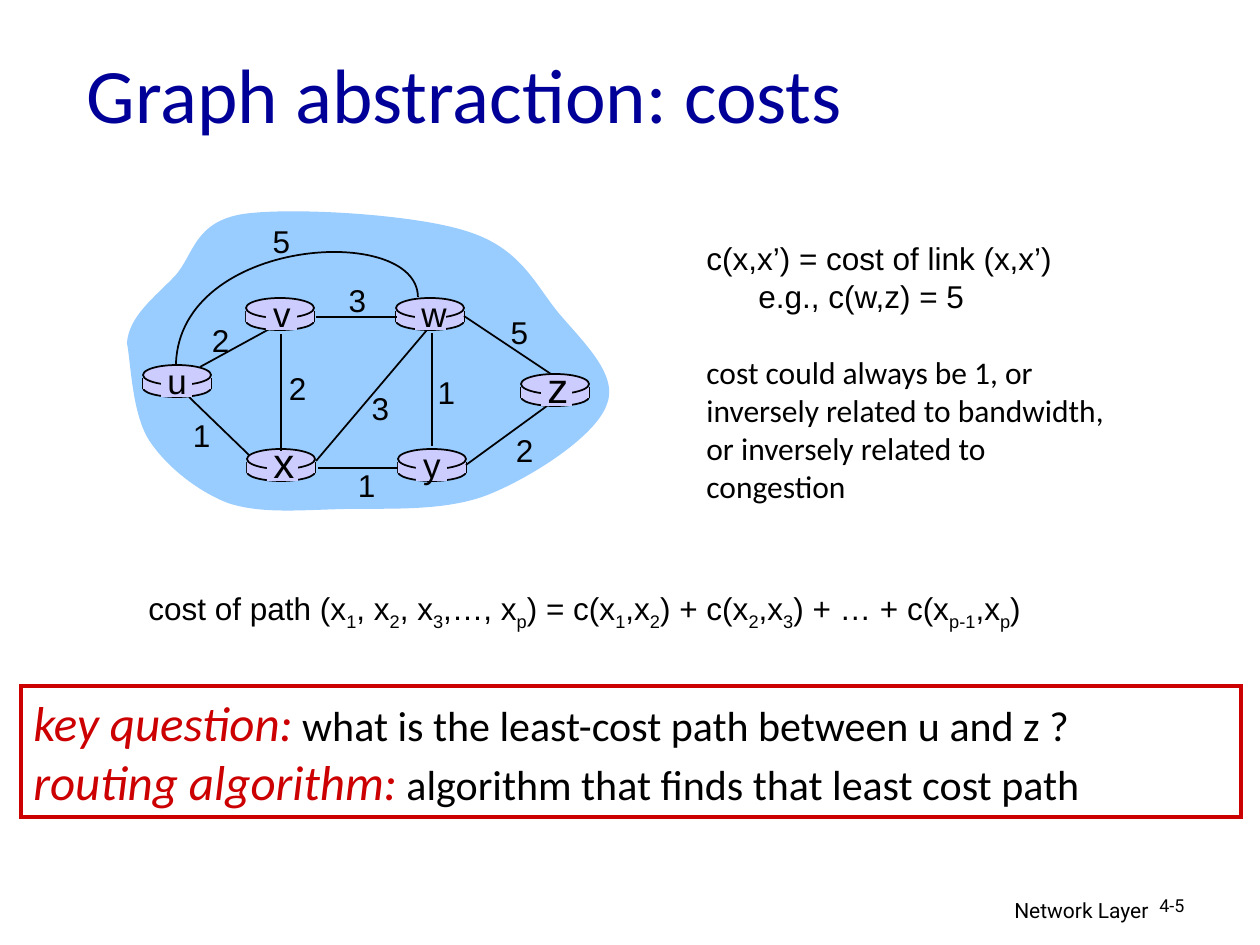
"""Build a slide on link and path costs in a network graph."""
import pptx
import pptx.util
import pptx.dml.color
import pptx.enum.shapes
import pptx.enum.text
import pptx.oxml.ns
import lxml.etree

SCALE = 914400 / 126
HUES = {"ink": "000000", "navy": "000099", "sky": "99CCFF", "node": "CCCCFF", "red": "CC0000"}
SHAPE = pptx.enum.shapes.MSO_SHAPE
ALIGN = pptx.enum.text.PP_ALIGN
ANCHOR = pptx.enum.text.MSO_ANCHOR
qn = pptx.oxml.ns.qn


def emu(*nums):
    return [round(n * SCALE) for n in nums]


class Page:
    """Hold the style and the current slide."""

    def __init__(self, deck):
        self.slide = deck.slides.add_slide(deck.slide_layouts[5])
        self.shapes = self.slide.shapes

    def hue(self, name):
        return pptx.dml.color.RGBColor.from_string(HUES[name])

    def paint(self, shape, fill, line, width):
        shape.shadow.inherit = False
        if fill:
            shape.fill.solid()
            shape.fill.fore_color.rgb = self.hue(fill)
        else:
            shape.fill.background()
        if line:
            shape.line.color.rgb = self.hue(line)
            shape.line.width = pptx.util.Pt(width)
        else:
            shape.line.fill.background()
        return shape

    def font(self, font, size, face, hue="ink", slant=None):
        font.size = pptx.util.Pt(size)
        font.name = face
        font.color.rgb = self.hue(hue)
        font.italic = slant

    def title(self, box, words):
        head = self.shapes.title
        head.left, head.top, head.width, head.height = emu(*box)
        head.text_frame.text = words
        head.text_frame.vertical_anchor = ANCHOR.MIDDLE
        par = head.text_frame.paragraphs[0]
        par.alignment = ALIGN.LEFT
        self.font(par.font, 44, "Calibri", "navy")

    def shape(self, kind, box, fill=None, line=None, width=1):
        return self.paint(self.shapes.add_shape(kind, *emu(*box)), fill, line, width)

    def curve(self, pts, fill=None, line=None):
        pen = self.shapes.build_freeform(*pts[0], scale=SCALE)
        pen.add_line_segments(pts[1:], close=bool(fill))
        form = self.paint(pen.convert_to_shape(), fill, line, 1)
        legs = list(form._element.iter(qn("a:lnTo")))
        for i in range(0, len(legs), 3):
            bend = lxml.etree.Element(qn("a:cubicBezTo"))
            legs[i].addprevious(bend)
            for leg in legs[i:i + 3]:
                bend.append(leg[0])
                leg.getparent().remove(leg)

    def line(self, *ends):
        link = self.shapes.add_connector(pptx.enum.shapes.MSO_CONNECTOR.STRAIGHT, *emu(*ends))
        link.line.color.rgb = self.hue("ink")
        link.line.width = pptx.util.Pt(1)
        lxml.etree.SubElement(link._element.spPr, qn("a:effectLst"))

    def text(self, box, lines, size, face="Arial", align=ALIGN.LEFT, wrap=False):
        frame = self.shapes.add_textbox(*emu(*box)).text_frame
        frame.word_wrap = wrap
        for i, words in enumerate(lines):
            par = frame.add_paragraph() if i else frame.paragraphs[0]
            par.alignment = align
            par.text = words
            self.font(par.font, size, face)
        return frame

    def router(self, left, top):
        self.shape(SHAPE.OVAL, (left, top + 14, 68, 18), "node", "ink")
        for x in (left, left + 68):
            self.line(x, top + 13, x, top + 24)
        self.shape(SHAPE.RECTANGLE, (left, top + 13, 68, 11), "node")
        self.shape(SHAPE.OVAL, (left, top, 68, 20), "node", "ink")

    def label(self, name, mid, top, size):
        self.shape(SHAPE.RECTANGLE, (mid - 16, top + 3, 31, 29), "node")
        rise = 12 if size == 20 else 19
        self.text((mid - 22, top - rise, 44, 55), [name], size, align=ALIGN.CENTER)

    def formula(self, box, words):
        par = self.text(box, [], 18).paragraphs[0]
        self.font(par.font, 18, "Arial")
        for i, part in enumerate(words.split("|")):
            run = par.add_run()
            run.text = part
            if i % 2:
                run._r.get_or_add_rPr().set("baseline", "-25000")

    def panel(self, box, lines):
        form = self.shape(SHAPE.RECTANGLE, box, None, "red", 2.25)
        lxml.etree.SubElement(form._element.spPr.find(qn("a:ln")), qn("a:miter"), lim="800000")
        frame = form.text_frame
        frame.word_wrap = False
        frame.vertical_anchor = ANCHOR.TOP
        for i, (term, rest) in enumerate(lines):
            par = frame.add_paragraph() if i else frame.paragraphs[0]
            par.alignment = ALIGN.LEFT
            for words, size, hue in ((term, 28, "red"), (rest, 24, "ink")):
                run = par.add_run()
                run.text = words
                self.font(run.font, size, "Calibri", hue, hue == "red")


def main():
    deck = pptx.Presentation()
    deck.slide_width, deck.slide_height = emu(1260, 945)
    page = Page(deck)
    page.text((762, 891, 399, 39), ["Network Layer"], 12, "Roboto", ALIGN.RIGHT, True)
    num = page.text((1147, 891, 93, 38), ["4-5"], 10.2, "Roboto", wrap=True)
    num.paragraphs[0].line_spacing = 0.9
    page.title((74, 30, 1071, 125), "Graph abstraction: costs")

    page.curve([
        (127, 343), (129, 316), (155, 297), (175, 276), (194, 255), (194, 222), (243, 214),
        (291, 207), (413, 214), (466, 231), (519, 247), (534, 282), (557, 311),
        (581, 340), (619, 374), (607, 404), (597, 435), (534, 476), (490, 494),
        (446, 512), (388, 508), (344, 509), (301, 510), (261, 514), (228, 503),
        (197, 491), (166, 466), (149, 440), (132, 413), (131, 363), (127, 343)], "sky")
    page.line(200, 367, 275, 326)
    nodes = [("u", 143, 177, 365, 20), ("y", 398, 432, 449, 20), ("x", 247, 283, 449, 24),
             ("w", 396, 431, 298, 20), ("v", 246, 282, 298, 20), ("z", 521, 557, 374, 24)]
    for _, left, _, top, _ in nodes:
        page.router(left, top)
    for ends in [(432, 333, 432, 446), (281, 334, 281, 451), (316, 461, 427, 330),
                 (466, 465, 547, 406), (318, 468, 398, 468), (189, 397, 249, 455),
                 (316, 317, 397, 317), (464, 316, 551, 374)]:
        page.line(*ends)
    page.curve([(418, 297), (417, 223), (180, 237), (176, 364)], line="ink")
    for name, _, mid, top, size in nodes:
        page.label(name, mid, top, size)
    for cost, left, top in [("2", 199, 315), ("2", 276, 363), ("1", 180, 410),
                            ("3", 359, 383), ("1", 345, 460), ("1", 425, 367),
                            ("2", 503, 425), ("5", 498, 307), ("3", 336, 275), ("5", 260, 216)]:
        page.text((left, top, 43, 50), [cost], 18, align=ALIGN.CENTER)

    note = page.text((694, 233, 484, 277), [
        "c(x,x’) = cost of link (x,x’)", "e.g., c(w,z) = 5", "cost could always be 1, or",
        "inversely related to bandwidth,", "or inversely related to", "congestion"], 18, wrap=True)
    pars = note.paragraphs
    pars[1]._p.get_or_add_pPr().set("marL", str(emu(52)[0]))
    pars[2].space_before = pptx.util.Pt(22)
    for par in pars[2:]:
        par.font.name = "Calibri"

    page.formula((136, 583, 915, 55), "cost of path (x|1|, x|2|, x|3|,…, x|p|) = c(x|1|,x|2|)"
                 " + c(x|2|,x|3|) + … + c(x|p-1|,x|p|)")
    page.panel((21, 686, 1220, 131), [
        ("key question:", " what is the least-cost path between u and z ?"),
        ("routing algorithm:", " algorithm that finds that least cost path")])
    deck.save("out.pptx")


if __name__ == "__main__":
    main()
